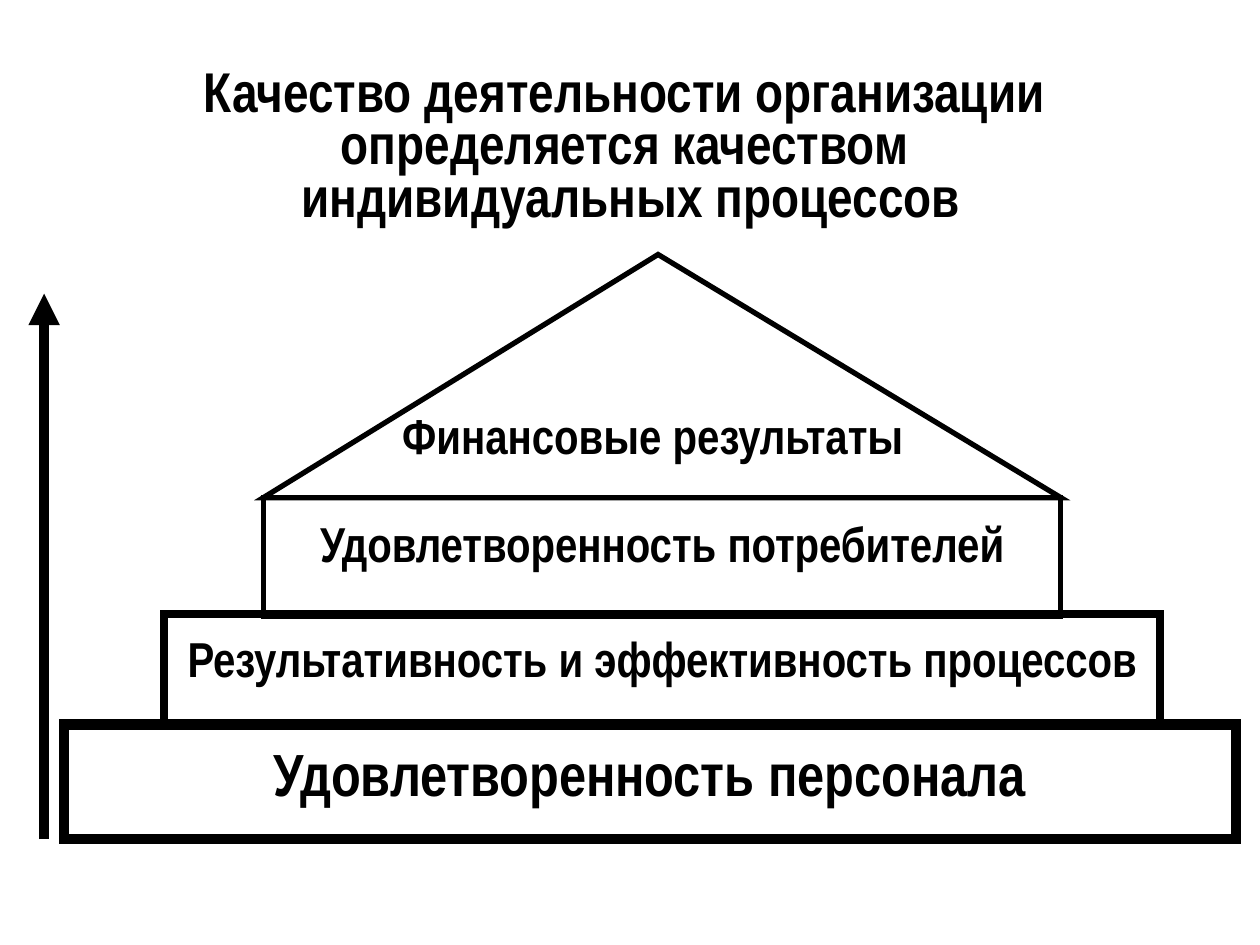
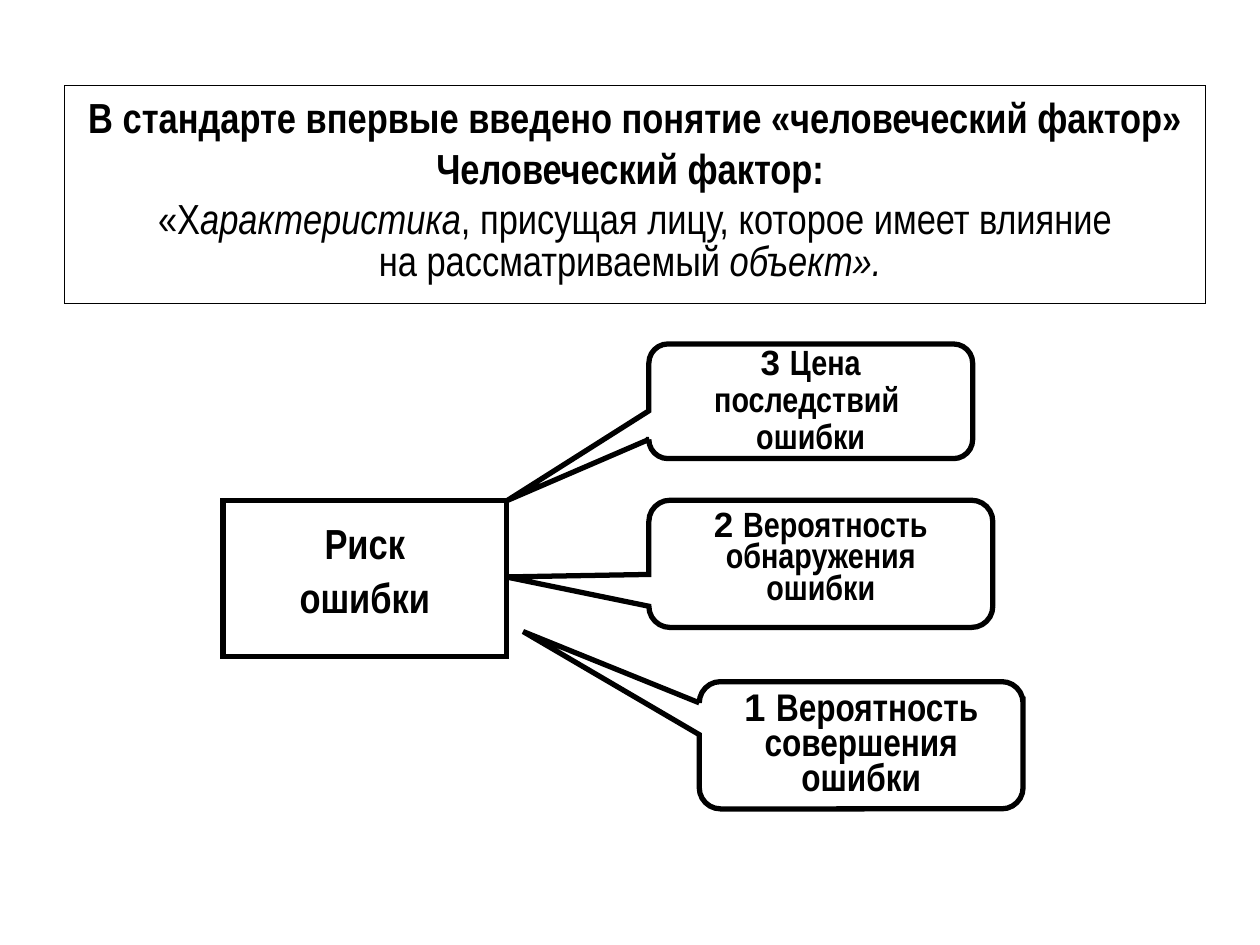
from lxml.etree import SubElement
from pptx import Presentation
from pptx.dml.color import RGBColor
from pptx.enum.shapes import MSO_CONNECTOR, MSO_SHAPE as SHAPE
from pptx.enum.text import MSO_ANCHOR as ANCHOR, PP_ALIGN
from pptx.oxml.ns import qn
from pptx.util import Inches, Pt

COLORS = {"ink": "000000", "page": "FFFFFF"}
NARROW, WIDE = "Arial Narrow", "Arial"

# Slide 1: title and the steps of the building, from the base up
TITLE = ("Качество деятельности организации \v"
         "определяется качеством \vиндивидуальных процессов")
TITLE_AREA = (0.51, 0.44, 9, 1.5)
# text, area, border, size, line spacing, top inset
STEPS = [
    ("Удовлетворенность персонала", (0.51, 5.75, 9.3, 0.91), 6, 34, 34, 0.19),
    ("Результативность и эффективность процессов",
     (1.3, 4.87, 7.91, 0.88), 4.5, 28, 26, 0.22),
    ("Удовлетворенность потребителей", (2.09, 3.95, 6.33, 0.94), 3, 28, 27, 0.22),
]
ROOF_AREA, ROOF_PEAK = (2.09, 2.02, 6.33, 1.93), 0.495
ROOF_TEXT, ROOF_TEXT_AREA = "Финансовые результаты", (2.98, 3.07, 4.4, 0.86)
ARROW_X, ARROW_BOTTOM, ARROW_TOP = 0.35, 6.66, 2.33

# Slide 2: definition, risk and its three factors
DEFINITION_AREA = (0.51, 0.68, 9.06, 1.73)
DEFINITION = [
    [("В стандарте впервые введено понятие «человеческий фактор»", "bold")],
    [("Человеческий фактор: ", "bold")],
    [(" «Х", ""), ("арактеристика", "italic"),
     (", присущая лицу, которое имеет влияние ", "")],
    [("на рассматриваемый ", ""), ("объект». ", "italic")],
]
RISK, RISK_AREA = ["Риск", "ошибки"], (1.77, 3.97, 2.25, 1.24)
# number, lines, area, pointer tip, size, line spacing, anchor
FACTORS = [
    ("3", ["Цена последствий ", "ошибки"], (5.15, 2.73, 2.57, 0.91),
     (-0.937, 0.865), 20, 21, ANCHOR.MIDDLE),
    ("1", ["Вероятность", "совершения", "ошибки"], (5.55, 5.41, 2.57, 1.01),
     (-1.044, -0.894), 22, 20, ANCHOR.TOP),
    ("2", ["Вероятность", "обнаружения", "ошибки"], (5.15, 3.97, 2.73, 1.01),
     (-0.915, 0.103), 20, 18, ANCHOR.TOP),
]
CORNER = 0.167


def color(name):
    return RGBColor.from_string(COLORS[name])


def add_page(deck):
    page = deck.slides.add_slide(deck.slide_layouts[6])
    page.background.fill.solid()
    page.background.fill.fore_color.rgb = color("page")
    return page


def set_line(item, width):
    item.line.color.rgb = color("ink")
    item.line.width = Pt(width)
    line = item.line._get_or_add_ln()
    SubElement(line, qn("a:miter"), lim="800000")
    return line


def add_outline(page, kind, area, width, adjustments=()):
    box = page.shapes.add_shape(kind, *map(Inches, area))
    box.shadow.inherit = False
    box.fill.background()
    set_line(box, width)
    for index, value in enumerate(adjustments):
        box.adjustments[index] = value
    return box


def add_text_box(page, area):
    return page.shapes.add_textbox(*map(Inches, area))


def write(box, lines, size, spacing=None, anchor=ANCHOR.MIDDLE, top=0.05,
          gap=0, bold=True, wrap=True):
    """Each line is a string or a list of (text, style) spans."""
    frame = box.text_frame
    frame.word_wrap = wrap
    frame.vertical_anchor = anchor
    frame.margin_top = Inches(top)
    for index, line in enumerate(lines):
        para = frame.add_paragraph() if index else frame.paragraphs[0]
        para.alignment = PP_ALIGN.CENTER
        if spacing:
            para.line_spacing = Pt(spacing)
        if index and gap:
            para.space_before = Pt(gap)
        font = para.font
        font.name, font.size, font.bold = NARROW, Pt(size), bold
        font.color.rgb = color("ink")
        if isinstance(line, str):
            para.text = line
            continue
        for text, style in line:
            span = para.add_run()
            span.text = text
            if style == "bold":
                span.font.bold = True
            elif style == "italic":
                span.font.italic = True
            elif style == "wide":
                span.font.name = WIDE


def build_quality_page(deck):
    page = add_page(deck)
    write(add_text_box(page, TITLE_AREA), [TITLE], 32, 30)

    # Steps and roof
    for text, area, border, size, spacing, top in STEPS:
        step = add_outline(page, SHAPE.RECTANGLE, area, border)
        write(step, [text], size, spacing, ANCHOR.TOP, top)
    add_outline(page, SHAPE.ISOSCELES_TRIANGLE, ROOF_AREA, 3, [ROOF_PEAK])
    write(add_text_box(page, ROOF_TEXT_AREA), [ROOF_TEXT], 28, 27)

    # Upward arrow
    arrow = page.shapes.add_connector(
        MSO_CONNECTOR.STRAIGHT, Inches(ARROW_X), Inches(ARROW_BOTTOM),
        Inches(ARROW_X), Inches(ARROW_TOP))
    SubElement(set_line(arrow, 6), qn("a:tailEnd"), type="triangle")
    SubElement(arrow._element.spPr, qn("a:effectLst"))


def build_risk_page(deck):
    page = add_page(deck)
    risk = add_outline(page, SHAPE.RECTANGLE, RISK_AREA, 3)
    write(risk, RISK, 24, 19, gap=12)

    # Factors pointing at the risk
    for number, lines, area, tip, size, spacing, anchor in FACTORS:
        factor = add_outline(page, SHAPE.ROUNDED_RECTANGULAR_CALLOUT, area, 3,
                             [*tip, CORNER])
        first = [(number + " ", "wide"), (lines[0], "")]
        write(factor, [first, *lines[1:]], size, spacing, anchor)

    # Definition
    definition = add_outline(page, SHAPE.RECTANGLE, DEFINITION_AREA, 0.75)
    write(definition, DEFINITION, 24, anchor=ANCHOR.TOP, bold=False, wrap=False)
    definition.text_frame.paragraphs[-1].line_spacing = Pt(24)


def main():
    deck = Presentation()
    deck.slide_width, deck.slide_height = Inches(10), Inches(7.5)
    build_quality_page(deck)
    build_risk_page(deck)
    deck.save("out.pptx")


if __name__ == "__main__":
    main()
